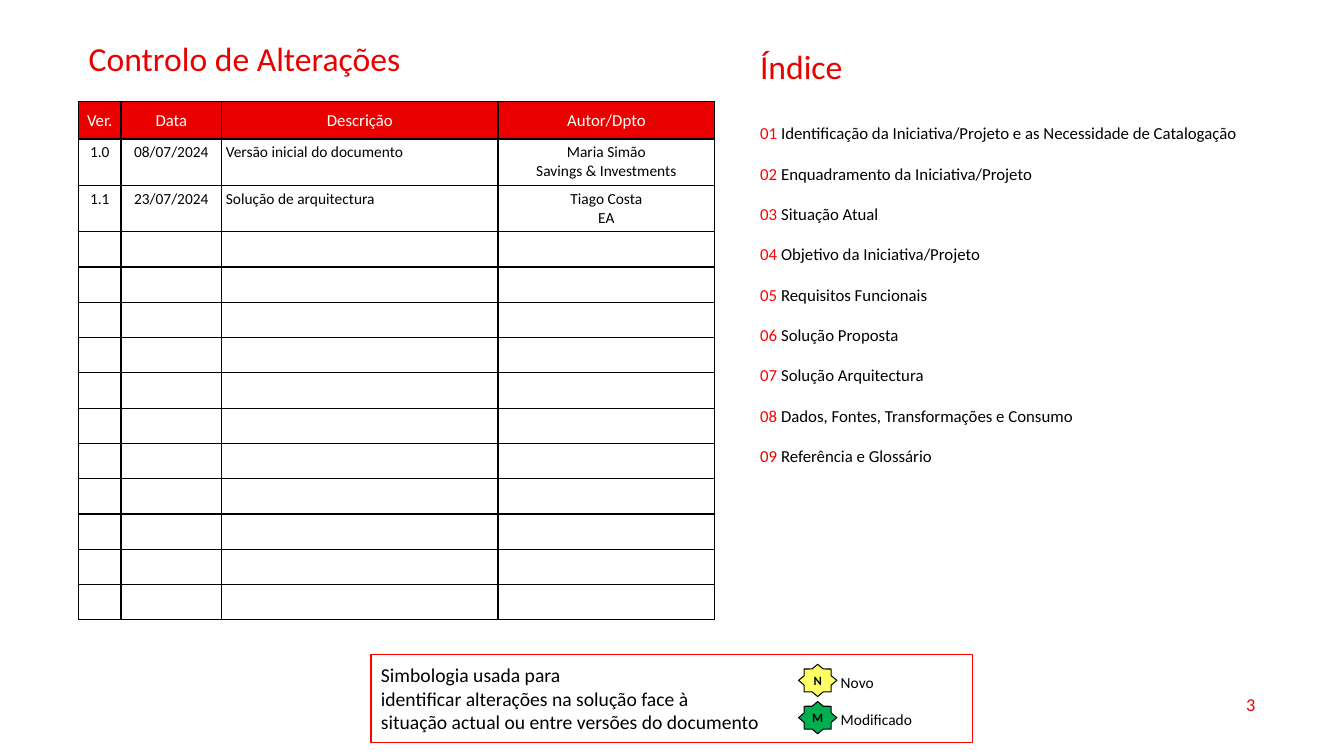
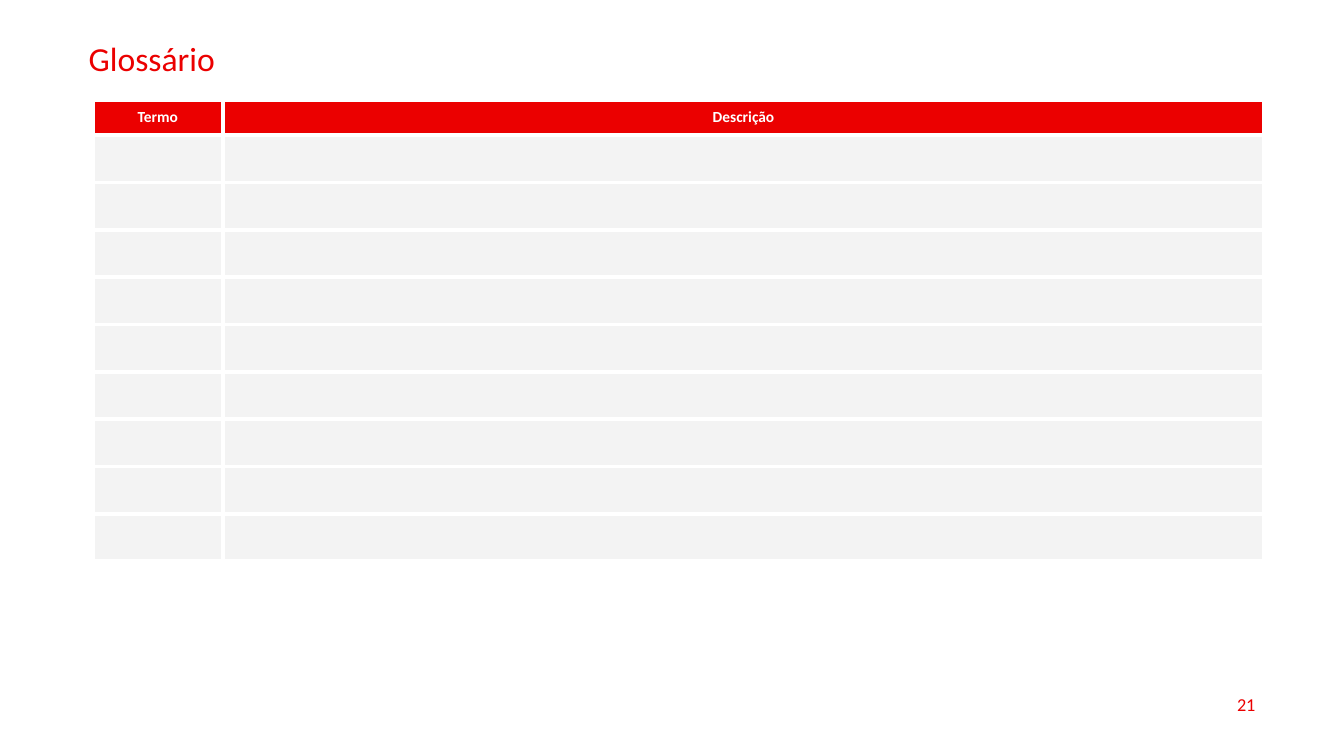
"""Build the change control and glossary slides."""
from lxml import etree
from pptx import Presentation
from pptx.dml.color import RGBColor
from pptx.enum import shapes, text
from pptx.oxml import ns
from pptx.util import Inches, Pt

COLORS = {
    "red": "EB0000",
    "bright": "FF0000",
    "black": "000000",
    "white": "FFFFFF",
    "gray": "F3F3F3",
    "green": "00B050",
    "yellow": "FFFF66",
}
LEFT, CENTER, RIGHT = text.PP_ALIGN.LEFT, text.PP_ALIGN.CENTER, text.PP_ALIGN.RIGHT
TOP, MIDDLE = text.MSO_ANCHOR.TOP, text.MSO_ANCHOR.MIDDLE
TITLE_ONLY, TITLE_AND_BODY = 5, 1


def rgb(name):
    return RGBColor.from_string(COLORS[name])


class Deck:
    font = "Calibri"

    def __init__(self):
        self.deck = Presentation()
        self.deck.slide_width = Inches(13.33)
        self.deck.slide_height = Inches(7.5)
        self.page = None

    def add_page(self, layout, title, width, number):
        self.page = self.deck.slides.add_slide(self.deck.slide_layouts[layout])
        self.heading(title, 0.78, 0.37, width, self.page.shapes.title)
        self.label([number], 9.55, 6.79, 3, 0.4, 13, "red", RIGHT, MIDDLE)

    def place(self, box, left, top, width, height):
        box.left, box.top = Inches(left), Inches(top)
        box.width, box.height = Inches(width), Inches(height)

    def style(self, para, size, color, align=LEFT, bold=False):
        para.alignment = align
        para.font.name = self.font
        para.font.size = Pt(size)
        para.font.bold = bold
        if color:
            para.font.color.rgb = rgb(color)

    def set_lines(self, frame, lines, size, color, align=LEFT, bold=False, gap=0):
        frame.text = "\n".join(lines)
        for index, para in enumerate(frame.paragraphs):
            self.style(para, size, color, align, bold)
            para.space_before = Pt(gap if index else 0)

    def label(self, lines, left, top, width, height, size, color,
              align=LEFT, anchor=TOP, gap=0):
        box = self.page.shapes.add_textbox(0, 0, 0, 0)
        self.place(box, left, top, width, height)
        box.text_frame.word_wrap = True
        box.text_frame.vertical_anchor = anchor
        self.set_lines(box.text_frame, lines, size, color, align, gap=gap)

    def heading(self, title, left, top, width, box=None):
        box = box or self.page.shapes.add_textbox(0, 0, 0, 0)
        self.place(box, left, top, width, 0.33)
        frame = box.text_frame
        frame.word_wrap = True
        frame.auto_size = text.MSO_AUTO_SIZE.NONE
        frame.vertical_anchor = TOP
        self.set_lines(frame, [title], 24, "red")
        frame.paragraphs[0].line_spacing = 0.9

    def contents(self, entries, left, top, width, height):
        box = self.page.placeholders[1]
        self.place(box, left, top, width, height)
        frame = box.text_frame
        frame.word_wrap = False
        frame.auto_size = text.MSO_AUTO_SIZE.NONE
        for number, entry in enumerate(entries, 1):
            para = frame.paragraphs[0] if number == 1 else frame.add_paragraph()
            props = para._p.get_or_add_pPr()
            props.set("marL", "0")
            props.set("indent", "0")
            etree.SubElement(props, ns.qn("a:buNone"))
            para.line_spacing = 2.0
            para.space_before = Pt(0)
            self.style(para, 12, None)
            last = number == len(entries)
            for words, color in ((f"{number:02} ", "red" if last else "bright"),
                                 (entry, "black")):
                span = para.add_run()
                span.text = words
                span.font.color.rgb = rgb(color)

    def shape(self, kind, lines, left, top, width, height, line, size,
              fill=None, align=LEFT, bold=False):
        box = self.page.shapes.add_shape(kind, 0, 0, 0, 0)
        self.place(box, left, top, width, height)
        box.shadow.inherit = False
        if fill:
            box.fill.solid()
            box.fill.fore_color.rgb = rgb(fill)
        else:
            box.fill.background()
        box.line.color.rgb = rgb(line)
        box.line.width = Pt(0.75)
        box.text_frame.word_wrap = False
        box.text_frame.vertical_anchor = MIDDLE
        self.set_lines(box.text_frame, lines, size, "black", align, bold)
        return box

    def star(self, letter, left, top, fill):
        star = self.shape(shapes.MSO_SHAPE.STAR_8_POINT, [letter], left, top,
                          0.38, 0.32, "black", 9, fill, CENTER, True)
        star.adjustments[0] = 0.383
        frame = star.text_frame
        frame.margin_left = frame.margin_right = 0
        frame.margin_top = frame.margin_bottom = 0

    def border(self, cell, color, width):
        props = cell._tc.get_or_add_tcPr()
        for side in ("a:lnL", "a:lnR", "a:lnT", "a:lnB"):
            line = etree.SubElement(props, ns.qn(side), w=str(Pt(width)))
            fill = etree.SubElement(line, ns.qn("a:solidFill"))
            etree.SubElement(fill, ns.qn("a:srgbClr"), val=COLORS[color])

    def table(self, rows, left, top, widths, heights, edge, insets, aligns,
              header_size, header_bold=False, fill=None):
        frame = self.page.shapes.add_table(
            len(rows), len(widths), Inches(left), Inches(top),
            Inches(sum(widths)), Inches(sum(heights)))
        grid = frame.table
        grid.first_row = grid.horz_banding = False
        for column, width in zip(grid.columns, widths):
            column.width = Inches(width)
        for index, (row, height) in enumerate(zip(rows, heights)):
            grid.rows[index].height = Inches(height)
            header = index == 0
            for spot, value in enumerate(row):
                cell = grid.cell(index, spot)
                self.border(cell, *edge)
                cell.margin_left = cell.margin_right = Inches(insets[0])
                cell.margin_top = cell.margin_bottom = Inches(insets[1] if value else 0)
                cell.vertical_anchor = MIDDLE if header else TOP
                color = "red" if header else fill
                if color:
                    cell.fill.solid()
                    cell.fill.fore_color.rgb = rgb(color)
                else:
                    cell.fill.background()
                self.set_lines(cell.text_frame, value.split("\n"),
                               header_size if header else 11,
                               "white" if header else "black",
                               CENTER if header else aligns[spot],
                               header and header_bold)


def add_changes(deck):
    deck.add_page(TITLE_AND_BODY, "Controlo de Alterações", 6.3, "3")
    changes = [
        ["Ver.", "Data", "Descrição", "Autor/Dpto"],
        ["1.0", "08/07/2024", "Versão inicial do documento",
         "Maria Simão\nSavings & Investments"],
        ["1.1", "23/07/2024", "Solução de arquitectura", "Tiago Costa\nEA"],
    ] + [[""] * 4] * 11
    deck.table(changes, 0.78, 1.01, [0.42, 1, 2.74, 2.15],
               [0.37] + [0.46] * 2 + [0.35] * 11, ("black", 1), (0.04, 0.04),
               [CENTER, CENTER, LEFT, CENTER], 12)
    deck.heading("Índice", 7.44, 0.45, 5.37)
    deck.contents([
        "Identificação da Iniciativa/Projeto e as Necessidade de Catalogação",
        "Enquadramento da Iniciativa/Projeto",
        "Situação Atual",
        "Objetivo da Iniciativa/Projeto",
        "Requisitos Funcionais",
        "Solução Proposta",
        "Solução Arquitectura",
        "Dados, Fontes, Transformações e Consumo",
        "Referência e Glossário",
    ], 7.44, 0.97, 5.14, 3.68)
    deck.shape(shapes.MSO_SHAPE.RECTANGLE, [
        "Simbologia usada para",
        "identificar alterações na solução face à",
        "situação actual ou entre versões do documento",
    ], 3.68, 6.49, 5.97, 0.88, "bright", 14)
    deck.label(["Novo", "Modificado"], 8.24, 6.63, 1.09, 0.66, 11, "black", gap=13.4)
    deck.star("M", 7.92, 6.96, "green")
    deck.star("N", 7.92, 6.59, "yellow")


def add_glossary(deck):
    deck.add_page(TITLE_ONLY, "Glossário", 11.77, "21")
    deck.table([["Termo", "Descrição"]] + [["", ""]] * 9, 0.92, 0.99,
               [1.29, 10.33], [0.35] + [0.47] * 9, ("white", 3), (0.06, 0),
               [LEFT, LEFT], 11, True, "gray")


def main():
    deck = Deck()
    add_changes(deck)
    add_glossary(deck)
    deck.deck.save("out.pptx")


if __name__ == "__main__":
    main()
